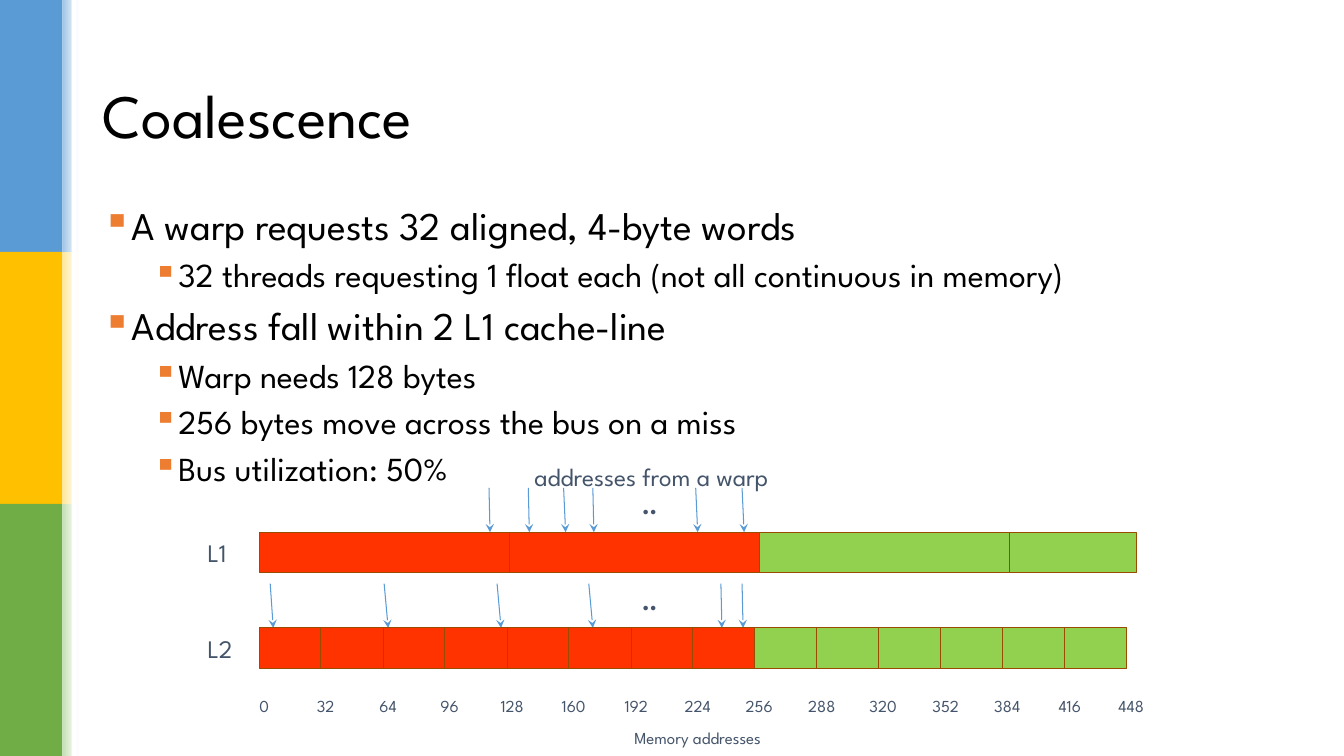
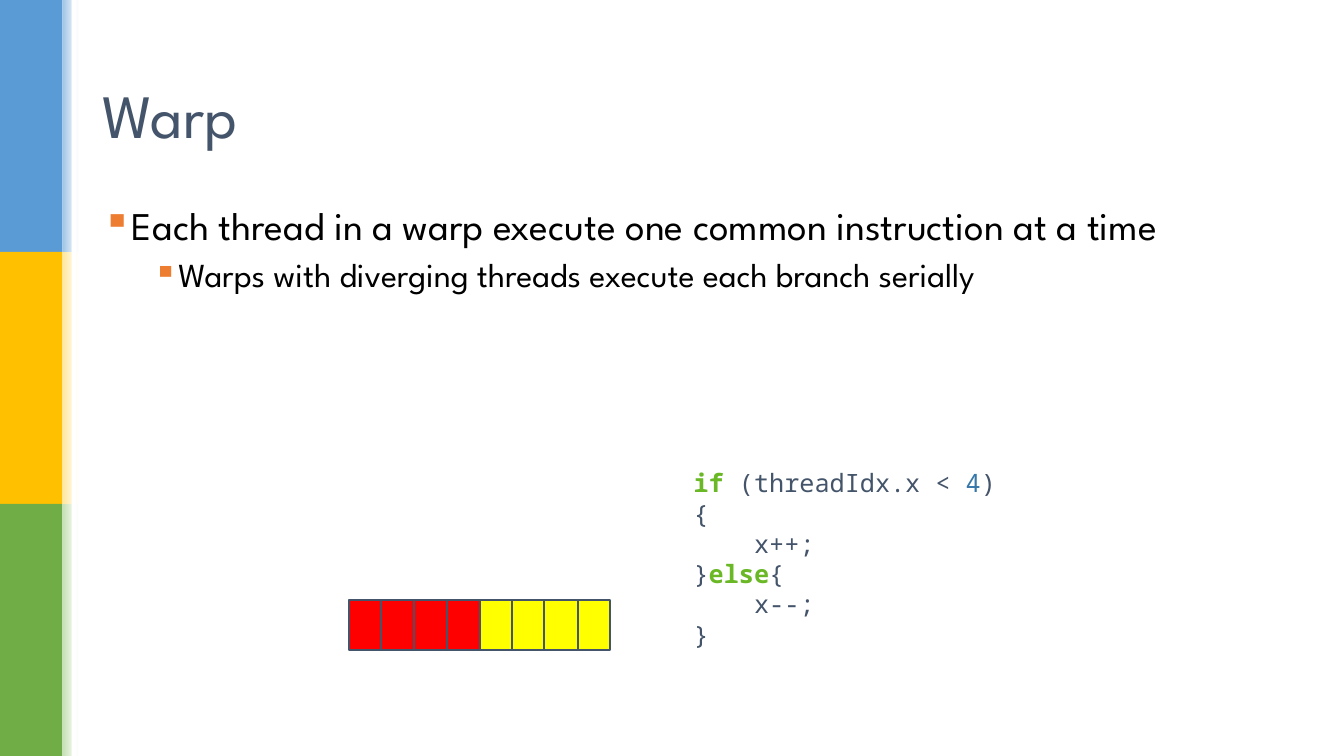
from dataclasses import dataclass
from typing import NamedTuple

import pptx
import pptx.dml.color
import pptx.enum.shapes
import pptx.enum.text
import pptx.oxml.ns
import pptx.util
from lxml import etree
from pptx.dml.color import RGBColor
from pptx.enum.text import MSO_ANCHOR, PP_ALIGN

PX = 9144  # EMU in one px, 100 px to the inch
WIDTH, HEIGHT = 1333, 750

BLACK = RGBColor(0x00, 0x00, 0x00)
WHITE = RGBColor(0xFF, 0xFF, 0xFF)
SLATE = RGBColor(0x44, 0x54, 0x6A)
BLUE = RGBColor(0x5B, 0x9B, 0xD5)
GOLD = RGBColor(0xFF, 0xC0, 0x00)
GREEN = RGBColor(0x70, 0xAD, 0x47)
PALE_BLUE = RGBColor(0x9D, 0xC3, 0xE6)
PALE_GOLD = RGBColor(0xFF, 0xE6, 0x99)
PALE_GREEN = RGBColor(0xC5, 0xE0, 0xB4)
BULLET_ORANGE = RGBColor(0xED, 0x7D, 0x31)
CACHE_RED = RGBColor(0xFF, 0x33, 0x00)
CACHE_GREEN = RGBColor(0x92, 0xD0, 0x50)
CACHE_BROWN = RGBColor(0x99, 0x4C, 0x00)
THREAD_RED = RGBColor(0xFF, 0x00, 0x00)
THREAD_YELLOW = RGBColor(0xFF, 0xFF, 0x00)
KEYWORD_GREEN = RGBColor(0x6A, 0xB8, 0x25)
NUMBER_BLUE = RGBColor(0x36, 0x77, 0xA9)

BODY_FONT = "League Spartan"
CODE_FONT = "Noto Sans Mono"
BODY_SIZES = (28, 24)
BAR_LEFT = 257
BAR_HEIGHT = 40


class Box(NamedTuple):
    left: int
    top: int
    width: int
    height: int


class Span(NamedTuple):
    text: str
    size: int
    color: RGBColor = SLATE
    bold: bool = False
    font: str = BODY_FONT


class Point(NamedTuple):
    level: int
    text: str


class Arrow(NamedTuple):
    start: int
    end: int


@dataclass(frozen=True)
class CellStyle:
    used: RGBColor
    unused: RGBColor
    line: RGBColor
    weight: float


@dataclass(frozen=True)
class CacheRow:
    label: str
    top: int
    edges: list[int]
    used: int
    arrows: list[Arrow]


def equal_edges(left: int, span: int, count: int) -> list[int]:
    return [left + round(span * i / count) for i in range(count + 1)]


CACHE_STYLE = CellStyle(CACHE_RED, CACHE_GREEN, CACHE_BROWN, 0.75)
THREAD_STYLE = CellStyle(THREAD_RED, THREAD_YELLOW, SLATE, 1.5)
SECTOR_EDGES = equal_edges(BAR_LEFT, 860, 14)
CACHE_ROWS = [
    CacheRow("L1", 528, [BAR_LEFT, 505, 753, 1001, 1127], 2,
             [Arrow(485, 486), Arrow(524, 525), Arrow(559, 561),
              Arrow(588, 589), Arrow(690, 692), Arrow(736, 738)]),
    CacheRow("L2", 623, SECTOR_EDGES, 8,
             [Arrow(268, 271), Arrow(381, 385), Arrow(493, 497),
              Arrow(584, 588), Arrow(715, 716), Arrow(736, 737)]),
]


def emu(*lengths: int) -> list[pptx.util.Emu]:
    return [pptx.util.Emu(length * PX) for length in lengths]


def add_xml(parent, tag: str, **attributes: str):
    return etree.SubElement(parent, pptx.oxml.ns.qn(tag), **attributes)


# Basic parts

def add_span(para, span: Span) -> None:
    run = para.add_run()
    run.text = span.text
    run.font.name = span.font
    run.font.size = pptx.util.Pt(span.size)
    run.font.bold = span.bold
    run.font.color.rgb = span.color


def add_text_box(slide, box: Box, inset: int = 5, anchor=MSO_ANCHOR.TOP):
    frame = slide.shapes.add_textbox(*emu(*box)).text_frame
    frame.word_wrap = True
    frame.vertical_anchor = anchor
    frame.margin_top, frame.margin_bottom = emu(inset, inset)
    frame.margin_left, frame.margin_right = emu(10, 10)
    return frame


def add_label(slide, box: Box, span: Span, align=PP_ALIGN.LEFT, inset: int = 5) -> None:
    para = add_text_box(slide, box, inset).paragraphs[0]
    para.alignment = align
    add_span(para, span)


def add_rect(slide, box: Box):
    rect = slide.shapes.add_shape(pptx.enum.shapes.MSO_SHAPE.RECTANGLE, *emu(*box))
    rect.shadow.inherit = False
    rect.line.fill.background()
    return rect


def fill_rect(slide, box: Box, color: RGBColor):
    rect = add_rect(slide, box)
    rect.fill.solid()
    rect.fill.fore_color.rgb = color
    return rect


def add_arrow(slide, arrow: Arrow, top: int, bottom: int) -> None:
    line = slide.shapes.add_connector(
        pptx.enum.shapes.MSO_CONNECTOR.STRAIGHT,
        *emu(arrow.start, top, arrow.end, bottom))
    line.line.color.rgb = BLUE
    line.line.width = pptx.util.Pt(0.75)
    properties = line._element.spPr
    add_xml(properties.find(pptx.oxml.ns.qn("a:ln")), "a:tailEnd", type="stealth")
    add_xml(properties, "a:effectLst")


def add_cells(slide, edges: list[int], top: int, height: int, used: int,
              style: CellStyle) -> None:
    for i, (left, right) in enumerate(zip(edges, edges[1:])):
        color = style.used if i < used else style.unused
        cell = fill_rect(slide, Box(left, top, right - left, height), color)
        cell.line.color.rgb = style.line
        cell.line.width = pptx.util.Pt(style.weight)


# Shared slide frame

def add_side_band(slide) -> None:
    bands = [(BLUE, PALE_BLUE), (GOLD, PALE_GOLD), (GREEN, PALE_GREEN)]
    height = HEIGHT // len(bands)
    for i, (color, pale) in enumerate(bands):
        fill_rect(slide, Box(0, i * height, 62, height), color)
        fade = add_rect(slide, Box(62, i * height, 16, height))
        fade.fill.gradient()
        fade.fill.gradient_angle = 0
        for stop, shade in zip(fade.fill.gradient_stops, (pale, WHITE)):
            stop.color.rgb = shade
    fill_rect(slide, Box(71, 0, 5, HEIGHT), WHITE)


def set_title(slide, text: str, color: RGBColor) -> None:
    title = slide.shapes.title
    title.left, title.top, title.width, title.height = emu(92, 40, 1150, 145)
    frame = title.text_frame
    frame.auto_size = pptx.enum.text.MSO_AUTO_SIZE.NONE
    frame.vertical_anchor = MSO_ANCHOR.MIDDLE
    para = frame.paragraphs[0]
    para.alignment = PP_ALIGN.LEFT
    add_span(para, Span(text, 44, color))


def add_points(slide, points: list[Point]) -> None:
    frame = add_text_box(slide, Box(92, 200, 1150, 476))
    for i, point in enumerate(points):
        para = frame.add_paragraph() if i else frame.paragraphs[0]
        para.level = point.level
        properties = para._p.get_or_add_pPr()
        indent, hanging = emu(25 + 50 * point.level, -25)
        properties.set("marL", str(indent))
        properties.set("indent", str(hanging))
        if i:
            add_xml(add_xml(properties, "a:spcBef"), "a:spcPct", val="30000")
        add_xml(add_xml(properties, "a:buClr"), "a:srgbClr", val=str(BULLET_ORANGE))
        add_xml(properties, "a:buChar", char="▪")
        para.line_spacing = 0.9
        add_span(para, Span(point.text, BODY_SIZES[point.level], BLACK))


def add_slide(deck, title: str, color: RGBColor, points: list[Point]):
    slide = deck.slides.add_slide(deck.slide_layouts.get_by_name("Title Only"))
    add_side_band(slide)
    set_title(slide, title, color)
    add_points(slide, points)
    return slide


# Slides

def add_cache_row(slide, row: CacheRow) -> None:
    for arrow in row.arrows:
        add_arrow(slide, arrow, row.top - 44, row.top)
    add_label(slide, Box(627, row.top - 47, 36, 71), Span("...", 18, bold=True))
    add_cells(slide, row.edges, row.top, BAR_HEIGHT, row.used, CACHE_STYLE)
    add_label(slide, Box(196, row.top - 5, 51, 50), Span(row.label, 18), inset=10)


def add_coalescence(deck) -> None:
    slide = add_slide(deck, "Coalescence", BLACK, [
        Point(0, "A warp requests 32 aligned, 4-byte words"),
        Point(1, "32 threads requesting 1 float each (not all continuous in memory)"),
        Point(0, "Address fall within 2 L1 cache-line"),
        Point(1, "Warp needs 128 bytes"),
        Point(1, "256 bytes move across the bus on a miss"),
        Point(1, "Bus utilization: 50%"),
    ])
    add_label(slide, Box(497, 453, 298, 40), Span("addresses from a warp", 18),
              PP_ALIGN.CENTER)
    for row in CACHE_ROWS:
        add_cache_row(slide, row)
    # Address scale, one label at each sector edge
    for i, edge in enumerate(SECTOR_EDGES):
        add_label(slide, Box(edge - 21, 685, 52, 30), Span(str(32 * i), 12),
                  PP_ALIGN.CENTER)
    add_label(slide, Box(594, 717, 196, 30), Span("Memory addresses", 12),
              PP_ALIGN.CENTER)


def code(text: str, color: RGBColor = SLATE, bold: bool = False) -> Span:
    return Span(text, 18, color, bold, CODE_FONT)


def add_warp(deck) -> None:
    slide = add_slide(deck, "Warp", SLATE, [
        Point(0, "Each thread in a warp execute one common instruction at a time"),
        Point(1, "Warps with diverging threads execute each branch serially"),
    ])
    # Branching code
    lines = [
        [code("if ", KEYWORD_GREEN, True), code("(threadIdx.x < "),
         code("4", NUMBER_BLUE), code(")")],
        [code("{")],
        [code("    x++;")],
        [code("}"), code("else", KEYWORD_GREEN, True), code("{")],
        [code("    x--;")],
        [code("}")],
    ]
    frame = add_text_box(slide, Box(678, 453, 328, 202), 10, MSO_ANCHOR.MIDDLE)
    para = frame.paragraphs[0]
    for i, spans in enumerate(lines):
        if i:
            para.add_line_break()
        for span in spans:
            add_span(para, span)
    # Threads of the warp
    add_cells(slide, equal_edges(346, 259, 8), 595, 50, 4, THREAD_STYLE)


def main() -> None:
    deck = pptx.Presentation()
    deck.slide_width, deck.slide_height = emu(WIDTH, HEIGHT)
    add_coalescence(deck)
    add_warp(deck)
    deck.save("out.pptx")


if __name__ == "__main__":
    main()
